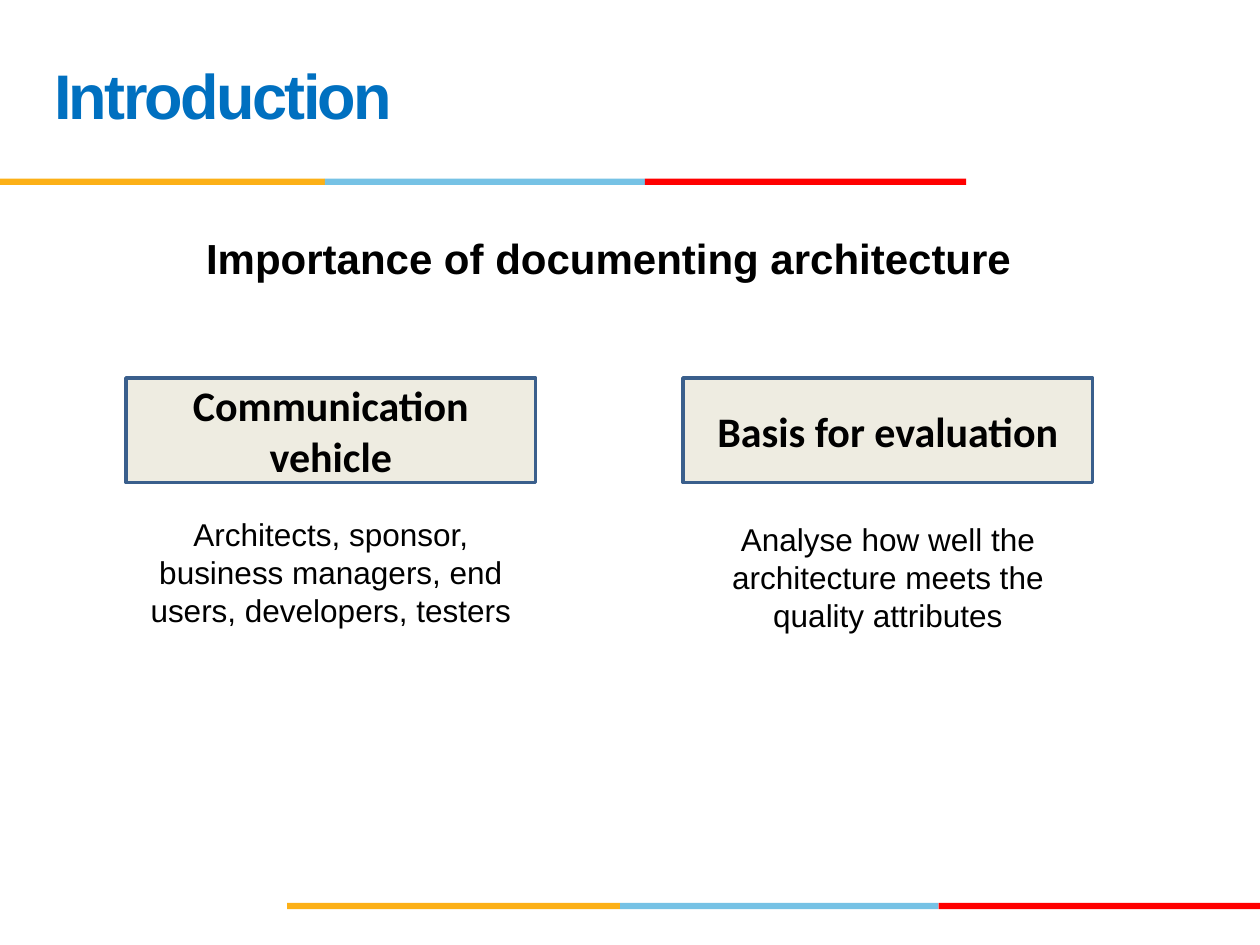
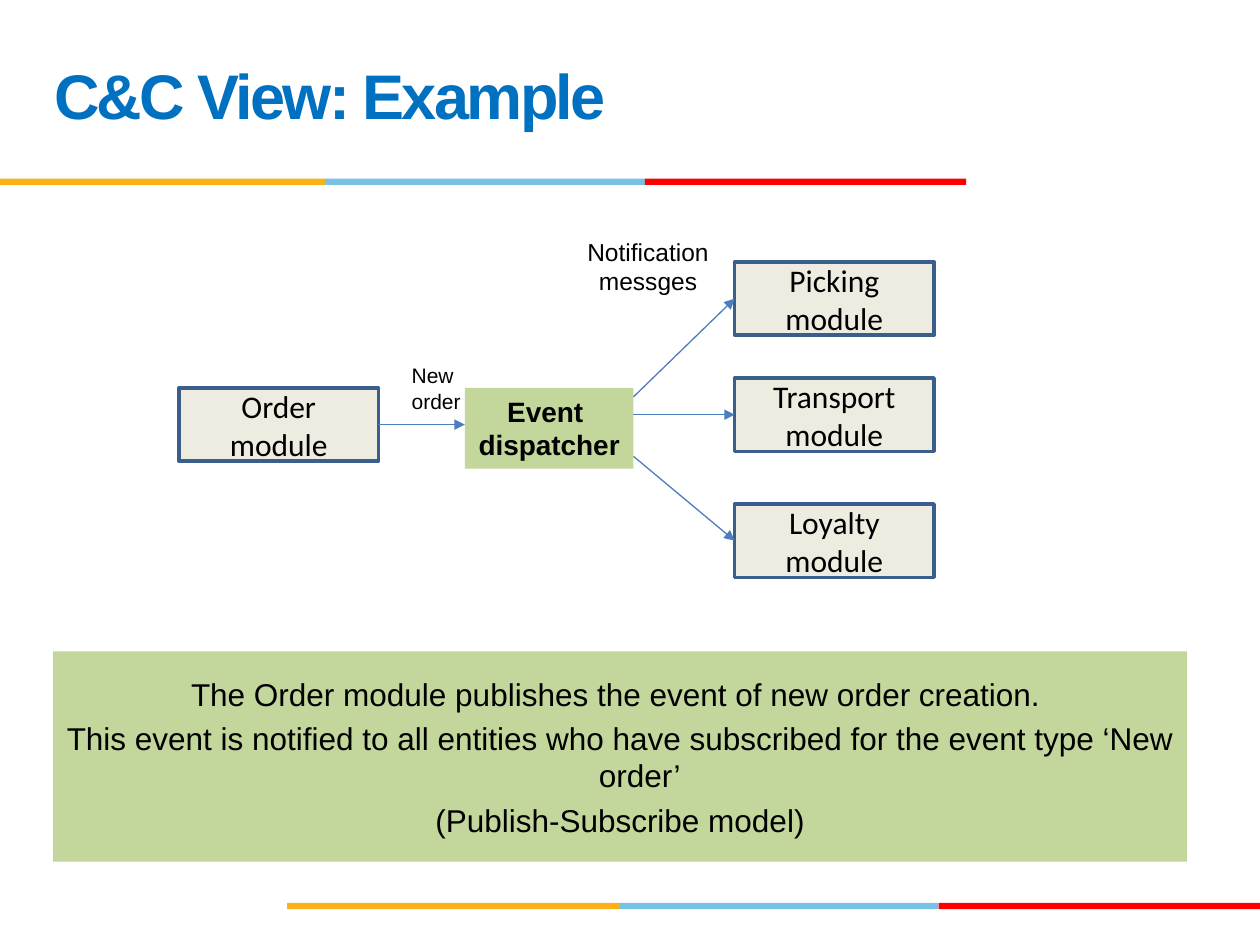
from dataclasses import dataclass

import pptx
import pptx.dml.color
import pptx.enum.shapes
import pptx.enum.text
import pptx.oxml
import pptx.oxml.ns
import pptx.presentation
import pptx.shapes.autoshape
import pptx.slide
import pptx.util

RGBColor = pptx.dml.color.RGBColor
Cm = pptx.util.Cm
Pt = pptx.util.Pt
Align = pptx.enum.text.PP_ALIGN
Anchor = pptx.enum.text.MSO_ANCHOR

AMBER = RGBColor(0xFC, 0xB0, 0x17)
SKY = RGBColor(0x76, 0xC2, 0xE5)
RED = RGBColor(0xFF, 0x00, 0x00)
TITLE_BLUE = RGBColor(0x00, 0x70, 0xC0)
BLACK = RGBColor(0x00, 0x00, 0x00)
CREAM = RGBColor(0xEE, 0xEC, 0xE1)
BORDER_BLUE = RGBColor(0x3A, 0x5F, 0x8C)
ARROW_BLUE = RGBColor(0x4B, 0x7E, 0xBC)
GREEN = RGBColor(0xC3, 0xD6, 0x9B)

BAND_HEIGHT = 0.13


@dataclass(frozen=True)
class Band:
    left: float
    top: float
    width: float
    color: RGBColor


@dataclass(frozen=True)
class TextStyle:
    size: float
    font: str = "Arial"
    bold: bool = False
    color: RGBColor = BLACK
    align: Align = Align.CENTER
    anchor: Anchor = Anchor.TOP
    wrap: bool = True
    hanging: float = 0
    space_before: float = 0
    line_spacing: float = 0
    tracking: int = 0


@dataclass(frozen=True)
class Box:
    left: float
    top: float
    width: float
    height: float
    lines: tuple[str, ...]
    style: TextStyle
    fill: RGBColor | None = None
    border: RGBColor | None = None

    @property
    def right(self) -> float:
        return self.left + self.width

    @property
    def middle(self) -> float:
        return self.top + self.height / 2


@dataclass(frozen=True)
class Arrow:
    start: tuple[float, float]
    end: tuple[float, float]


BANDS = (
    Band(5.79, 18.2, 6.71, AMBER),
    Band(12.5, 18.2, 6.42, SKY),
    Band(18.92, 18.2, 6.48, RED),
    Band(0, 3.6, 6.55, AMBER),
    Band(6.55, 3.6, 6.45, SKY),
    Band(13, 3.6, 6.48, RED),
)

TITLE = TextStyle(36, bold=True, color=TITLE_BLUE, align=Align.LEFT,
                  anchor=Anchor.MIDDLE, line_spacing=36, tracking=-150)
HEADING = TextStyle(24, bold=True, hanging=0.95)
PURPOSE = TextStyle(24, "Calibri", bold=True, anchor=Anchor.MIDDLE)
EXPLANATION = TextStyle(18)
MODULE = TextStyle(18, "Calibri", anchor=Anchor.MIDDLE)
DISPATCHER = TextStyle(16, bold=True, wrap=False)
EVENT_LABEL = TextStyle(12, align=Align.LEFT, wrap=False)
MESSAGE_LABEL = TextStyle(14, wrap=False)
SUMMARY = TextStyle(18, anchor=Anchor.MIDDLE, hanging=0.95, space_before=3.6)


def write_text(shape: pptx.shapes.autoshape.Shape, lines: tuple[str, ...], style: TextStyle) -> None:
    frame = shape.text_frame
    frame.word_wrap = style.wrap
    frame.vertical_anchor = style.anchor
    for index, line in enumerate(lines):
        paragraph = frame.add_paragraph() if index else frame.paragraphs[0]
        paragraph.alignment = style.align
        if style.hanging:
            properties = paragraph._p.get_or_add_pPr()
            properties.set("marL", str(Cm(style.hanging)))
            properties.set("indent", str(-Cm(style.hanging)))
        if index and style.space_before:
            paragraph.space_before = Pt(style.space_before)
        if style.line_spacing:
            paragraph.line_spacing = Pt(style.line_spacing)
        run = paragraph.add_run()
        run.text = line
        run.font.name = style.font
        run.font.size = Pt(style.size)
        run.font.bold = style.bold
        run.font.color.rgb = style.color
        if style.tracking:
            run._r.get_or_add_rPr().set("spc", str(style.tracking))


def add_rectangle(slide: pptx.slide.Slide, left: float, top: float, width: float, height: float,
                  fill: RGBColor, border: RGBColor | None = None) -> pptx.shapes.autoshape.Shape:
    shape = slide.shapes.add_shape(pptx.enum.shapes.MSO_SHAPE.RECTANGLE,
                                   Cm(left), Cm(top), Cm(width), Cm(height))
    shape.shadow.inherit = False
    shape.fill.solid()
    shape.fill.fore_color.rgb = fill
    if border is None:
        shape.line.fill.background()
    else:
        shape.line.color.rgb = border
        shape.line.width = Pt(2)
    return shape


def add_box(slide: pptx.slide.Slide, box: Box) -> None:
    if box.fill is None:
        shape = slide.shapes.add_textbox(Cm(box.left), Cm(box.top), Cm(box.width), Cm(box.height))
    else:
        shape = add_rectangle(slide, box.left, box.top, box.width, box.height, box.fill, box.border)
    write_text(shape, box.lines, box.style)


def add_arrow(slide: pptx.slide.Slide, arrow: Arrow) -> None:
    connector = slide.shapes.add_connector(
        pptx.enum.shapes.MSO_CONNECTOR.STRAIGHT,
        *(Cm(value) for value in arrow.start + arrow.end))
    connector.line.color.rgb = ARROW_BLUE
    connector.line.width = Pt(0.75)
    namespace = pptx.oxml.ns.nsdecls("a")
    connector.line._get_or_add_ln().append(
        pptx.oxml.parse_xml(f'<a:tailEnd {namespace} type="triangle"/>'))
    connector._element.spPr.append(pptx.oxml.parse_xml(f"<a:effectLst {namespace}/>"))


def add_slide(presentation: pptx.presentation.Presentation, title: str,
              boxes: tuple[Box, ...], arrows: tuple[Arrow, ...] = ()) -> None:
    slide = presentation.slides.add_slide(presentation.slide_layouts[6])
    for band in BANDS:
        add_rectangle(slide, band.left, band.top, band.width, BAND_HEIGHT, band.color)
    add_box(slide, Box(0.84, 0.43, 17.58, 3.18, (title,), TITLE))
    for box in boxes:
        add_box(slide, box)
    for arrow in arrows:
        add_arrow(slide, arrow)


def purpose_boxes(left: float, name: str, explanation: str, explanation_top: float) -> tuple[Box, Box]:
    return (
        Box(left, 7.62, 8.26, 2.11, (name,), PURPOSE, CREAM, BORDER_BLUE),
        Box(left, explanation_top, 8.26, 2.57, (explanation,), EXPLANATION),
    )


def module_box(left: float, top: float, name: str) -> Box:
    return Box(left, top, 4.02, 1.48, (name, "module"), MODULE, CREAM, BORDER_BLUE)


def main() -> None:
    presentation = pptx.Presentation()
    presentation.slide_width = Cm(25.4)
    presentation.slide_height = Cm(19.05)

    add_slide(presentation, "Introduction", (
        Box(0.84, 4.57, 22.86, 1.78, ("Importance of documenting architecture",), HEADING),
        *purpose_boxes(2.54, "Communication vehicle",
                       "Architects, sponsor, business managers, end users, developers, testers", 10.26),
        *purpose_boxes(13.77, "Basis for evaluation",
                       "Analyse how well the architecture meets the quality attributes", 10.36),
    ))

    order = module_box(3.61, 7.82, "Order")
    dispatcher = Box(9.37, 7.82, 3.4, 1.63, ("Event ", "dispatcher"), DISPATCHER, GREEN)
    picking = module_box(14.81, 5.28, "Picking")
    transport = module_box(14.81, 7.62, "Transport")
    loyalty = module_box(14.81, 10.16, "Loyalty")
    exits = ((picking, 8), (transport, transport.middle), (loyalty, 9.2))
    add_slide(presentation, "C&C View: Example", (
        order, dispatcher, picking, transport, loyalty,
        Box(1.07, 13.13, 22.86, 4.24, (
            "The Order module publishes the event of new order creation. ",
            "This event is notified to all entities who have subscribed for the event type ‘New order’ ",
            "(Publish-Subscribe model)",
        ), SUMMARY, GREEN),
        Box(8.05, 7.19, 1.5, 1.3, ("New", "order"), EVENT_LABEL),
        Box(11.58, 4.65, 2.97, 1.45, ("Notification", "messges"), MESSAGE_LABEL),
    ), (
        Arrow((order.right, order.middle), (dispatcher.left, order.middle)),
        *(Arrow((dispatcher.right, height), (subscriber.left, subscriber.middle))
          for subscriber, height in exits),
    ))

    presentation.save("out.pptx")


if __name__ == "__main__":
    main()
